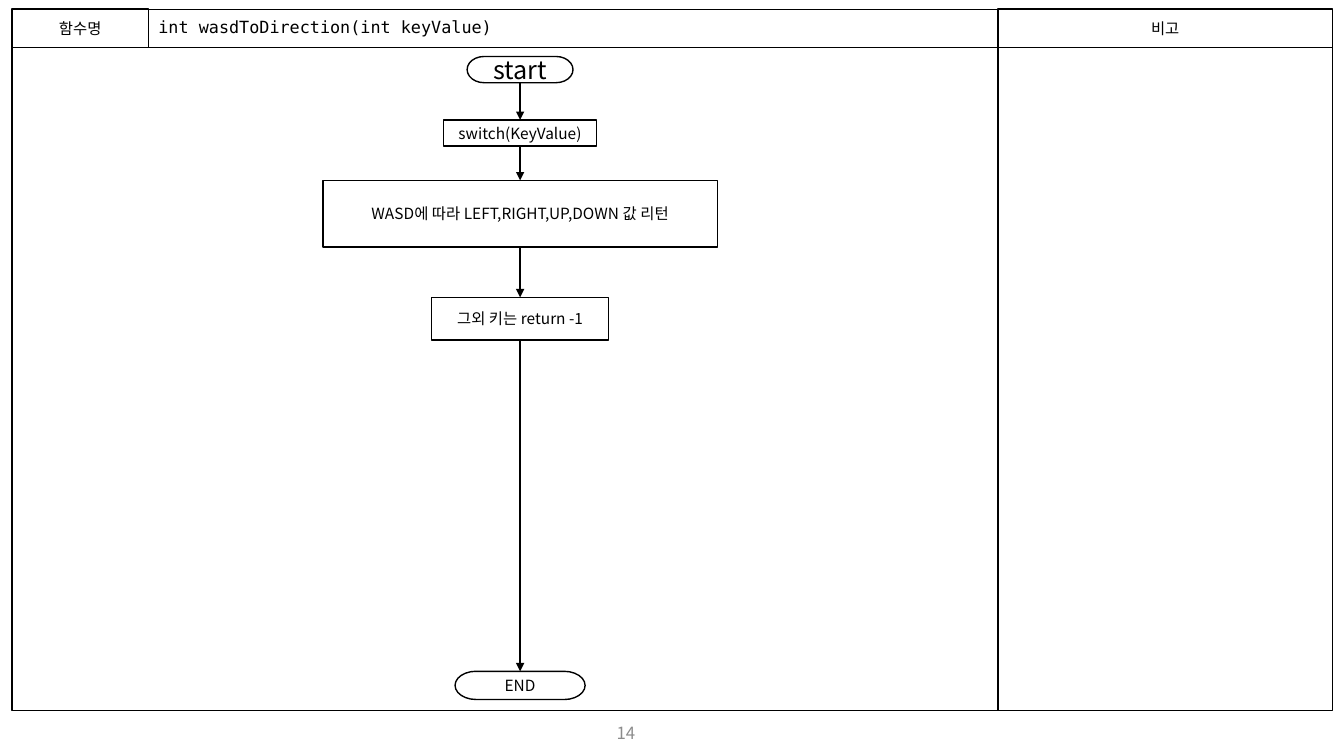
from dataclasses import dataclass
from itertools import pairwise

from lxml import etree
from pptx import Presentation
from pptx.dml.color import RGBColor
from pptx.enum.shapes import MSO_CONNECTOR, MSO_SHAPE
from pptx.enum.text import MSO_ANCHOR, PP_ALIGN
from pptx.oxml.ns import qn
from pptx.util import Inches, Pt

BOX, PILL = MSO_SHAPE.RECTANGLE, MSO_SHAPE.FLOWCHART_TERMINATOR
LINE = MSO_CONNECTOR.STRAIGHT
LEFT, MID = PP_ALIGN.LEFT, PP_ALIGN.CENTER
TOP, BOTTOM = 0, 2
WIDTH, HEIGHT = Inches(13.33), Inches(7.5)


@dataclass(frozen=True)
class Theme:
    ink: RGBColor = RGBColor(0, 0, 0)
    paper: RGBColor = RGBColor(255, 255, 255)
    gray: RGBColor = RGBColor(0x8C, 0x8C, 0x8C)
    sans: str = "Noto Sans CJK KR"
    mono: str = "DejaVu Sans Mono"
    body: int = 11
    head: int = 12
    start: int = 18
    line: float = 1


THEME = Theme()

# Frame edges, in percent of the slide
COLS = (0.9, 11.05, 74.25, 99.15)
ROWS = (1.2, 6.27, 94)

# Flow steps: kind, text, width, top, height (percent), type size
AXIS = 38.7
STEPS = (
    (PILL, "start", 7.88, 7.47, 3.47, THEME.start),
    (BOX, "switch(KeyValue)", 11.4, 15.87, 3.47, THEME.body),
    (BOX, "WASD에 따라 LEFT,RIGHT,UP,DOWN 값 리턴", 29.33, 23.87, 8.8, THEME.body),
    (BOX, "그외 키는 return -1", 13.2, 39.33, 5.67, THEME.body),
    (PILL, "END", 9.68, 88.8, 3.73, THEME.body),
)


def place(left, top, width, height):
    """Turn percent shares into slide lengths."""
    return (round(WIDTH * left / 100), round(HEIGHT * top / 100),
            round(WIDTH * width / 100), round(HEIGHT * height / 100))


def write(shape, text, size=THEME.body, face=THEME.sans, color=THEME.ink,
          align=MID, inset=0):
    frame = shape.text_frame
    frame.text = text
    frame.word_wrap = True
    frame.vertical_anchor = MSO_ANCHOR.MIDDLE
    frame.margin_left = frame.margin_right = Inches(inset)
    frame.margin_top = frame.margin_bottom = 0
    para = frame.paragraphs[0]
    para.alignment = align
    for run in para.runs:
        font = run.font
        font.size, font.name = Pt(size), face
        font.color.rgb = color
        # Hangul uses the East Asian face
        etree.SubElement(run._r.rPr, qn("a:ea"), typeface=face)
    return para


def draw(slide, kind, area, fill=None, weight=THEME.line):
    shape = slide.shapes.add_shape(kind, *place(*area))
    shape.shadow.inherit = False
    if fill is None:
        shape.fill.background()
    else:
        shape.fill.solid()
        shape.fill.fore_color.rgb = fill
    shape.line.color.rgb = THEME.ink
    shape.line.width = Pt(weight)
    return shape


def cell(slide, row, first, last, weight=THEME.line):
    """Outline the frame cell that spans two column edges."""
    left, top = COLS[first], ROWS[row]
    area = left, top, COLS[last] - left, ROWS[row + 1] - top
    return draw(slide, BOX, area, weight=weight)


def step(slide, kind, text, width, top, height, size):
    area = AXIS - width / 2, top, width, height
    shape = draw(slide, kind, area, THEME.paper)
    write(shape, text, size)
    return shape


def arrow(slide, start, end):
    link = slide.shapes.add_connector(LINE, 0, 0, 0, 0)
    link.begin_connect(start, BOTTOM)
    link.end_connect(end, TOP)
    link.line.color.rgb = THEME.ink
    link.line.width = Pt(THEME.line)
    etree.SubElement(link.line._get_or_add_ln(), qn("a:tailEnd"), type="triangle")
    etree.SubElement(link._element.spPr, qn("a:effectLst"))


def main():
    deck = Presentation()
    deck.slide_width, deck.slide_height = WIDTH, HEIGHT
    slide = deck.slides.add_slide(deck.slide_layouts[6])

    # Header row
    title = write(cell(slide, 0, 1, 2, 0.75), "int wasdToDirection(int keyValue)",
                  THEME.head, THEME.mono, align=LEFT, inset=0.1)
    title.line_spacing = 0.9
    write(cell(slide, 0, 0, 1), "함수명")
    write(cell(slide, 0, 2, 3), "비고")

    # Flow area and notes column
    cell(slide, 1, 0, 2)
    cell(slide, 1, 2, 3)

    # Page number
    page = slide.shapes.add_textbox(*place(35.33, 95.07, 22.5, 3.73))
    write(page, "14", THEME.head, color=THEME.gray)

    # Flow chart
    nodes = [step(slide, *item) for item in STEPS]
    for start, end in pairwise(nodes):
        arrow(slide, start, end)

    deck.save("out.pptx")


if __name__ == "__main__":
    main()
